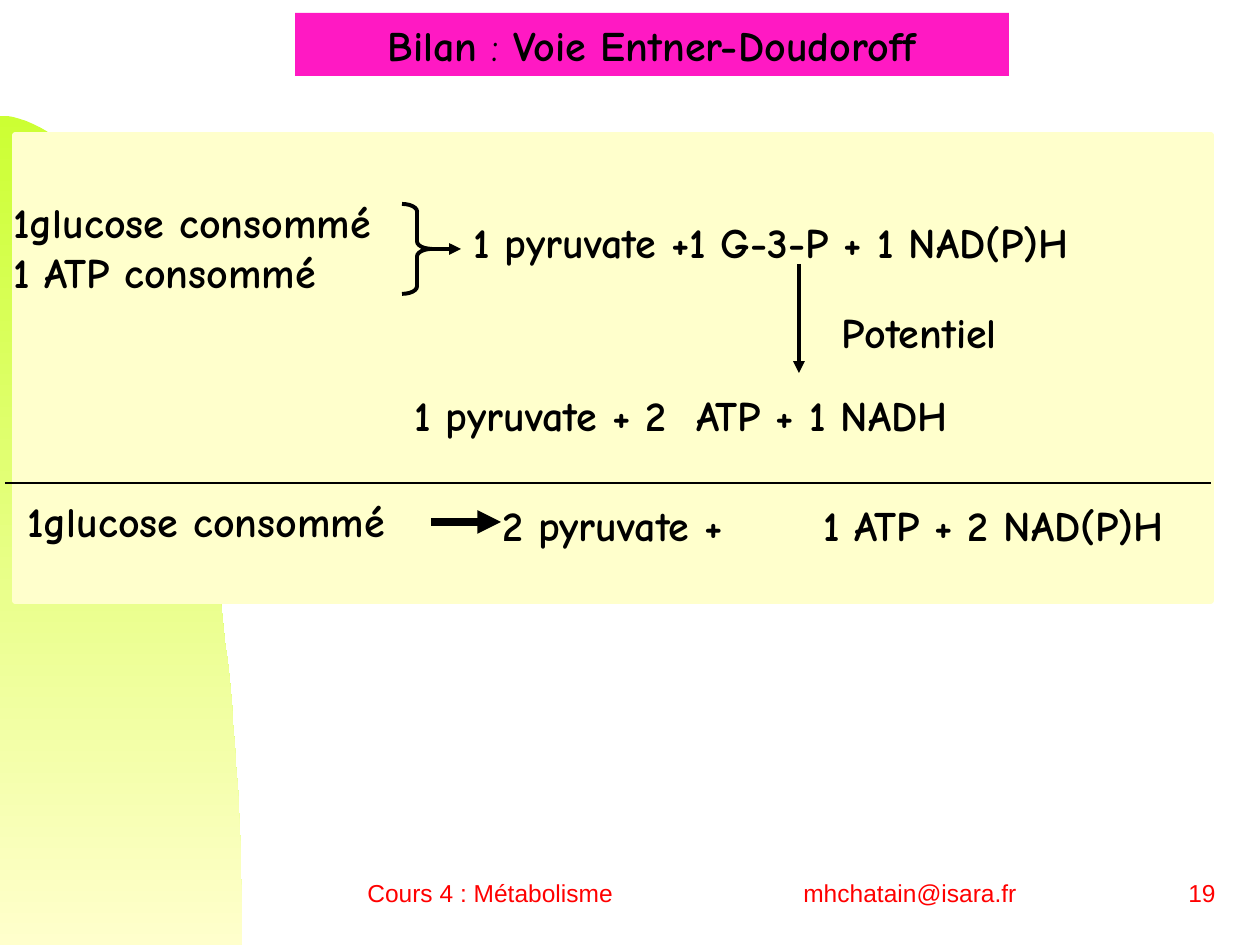
"""Build the balance slide of the Entner-Doudoroff pathway."""
from typing import NamedTuple

from lxml import etree
from pptx import Presentation
from pptx.dml.color import RGBColor
from pptx.enum.shapes import MSO_CONNECTOR, MSO_SHAPE
from pptx.enum.text import MSO_ANCHOR, MSO_AUTO_SIZE, PP_ALIGN
from pptx.oxml.ns import qn
from pptx.util import Emu, Pt

LINE = MSO_CONNECTOR.STRAIGHT
RECT, BRACE = MSO_SHAPE.RECTANGLE, MSO_SHAPE.RIGHT_BRACE
TOP, MIDDLE = MSO_ANCHOR.TOP, MSO_ANCHOR.MIDDLE
LEFT, CENTER, RIGHT = PP_ALIGN.LEFT, PP_ALIGN.CENTER, PP_ALIGN.RIGHT
FIXED = MSO_AUTO_SIZE.NONE
SCALE = 914400 / 126
BLACK, RED, PINK, CREAM, LIME = "000000", "FF0000", "FF19C3", "FFFFCC", "CCFF33"


class Label(NamedTuple):
    """A text box: place in px, words and look."""
    left: int
    top: int
    width: int
    height: int
    words: str
    font: str = "Comic Neue"
    size: int = 24
    color: str = BLACK
    bold: bool = True
    align: PP_ALIGN = LEFT
    anchor: MSO_ANCHOR = TOP
    tab: int = 0


class Rule(NamedTuple):
    """A straight line: ends in px, width in points."""
    left: int
    top: int
    right: int
    bottom: int
    width: float = 2.25
    arrow: bool = True


LABELS = [
    Label(461, 210, 774, 63, "1 pyruvate +1 G-3-P + 1 NAD(P)H"),
    Label(829, 300, 190, 63, "Potentiel"),
    Label(402, 383, 818, 63, "1 pyruvate + 2  ATP + 1 NADH"),
    Label(1, 190, 390, 113, "1glucose consommé\n1 ATP consommé"),
    Label(15, 489, 400, 63, "1glucose consommé"),
    Label(490, 493, 287, 63, "2 pyruvate +"),
    Label(811, 493, 380, 63, "1 ATP + 2 NAD(P)H"),
    Label(355, 861, 690, 63, "Cours 4 : Métabolisme\tmhchatain@isara.fr",
          "Arial", 14, RED, False, LEFT, MIDDLE, 436),
    Label(966, 861, 262, 63, "19", "Arial", 14, RED, False, RIGHT, MIDDLE),
]
RULES = [
    Rule(799, 264, 799, 373),
    Rule(5, 483, 1211, 483, 0.75, False),
    Rule(422, 249, 461, 249),
    Rule(431, 522, 501, 522, 4.5),
]


def px(*sizes: int) -> list[Emu]:
    """Turn px into EMU."""
    return [Emu(round(size * SCALE)) for size in sizes]


def paint(value: str) -> RGBColor:
    """Turn a hex string into a colour."""
    return RGBColor.from_string(value)


def write(para, words: str, *, font: str = "Comic Neue", size: int = 24,
          color: str = BLACK, bold: bool = True) -> None:
    """Add a formatted run to a paragraph."""
    run = para.add_run()
    run.text = words
    run.font.name, run.font.size, run.font.bold = font, Pt(size), bold
    run.font.color.rgb = paint(color)


def draw_title(slide) -> None:
    """Place and format the title."""
    title = slide.shapes.title
    title.left, title.top, title.width, title.height = px(295, 13, 714, 63)
    title.fill.solid()
    title.fill.fore_color.rgb = paint(PINK)
    frame = title.text_frame
    frame.auto_size, frame.vertical_anchor = FIXED, TOP
    para = frame.paragraphs[0]
    para.alignment = CENTER
    write(para, "Bilan")
    write(para, " : ", bold=False)
    write(para, "Voie Entner-Doudoroff")


def draw_curve(slide) -> None:
    """Draw the green quarter oval at the left edge."""
    knots = [(0, 116), (134, 116), (242, 488), (242, 945)]
    steps = 60
    points = []
    for step in range(steps + 1):
        t = step / steps
        parts = ((1 - t) ** 3, 3 * t * (1 - t) ** 2, 3 * t * t * (1 - t), t ** 3)
        points.append(tuple(
            sum(part * knot[axis] for part, knot in zip(parts, knots))
            for axis in (0, 1)))
    path = slide.shapes.build_freeform(*points[0], scale=SCALE)
    path.add_line_segments(points[1:] + [(0, 945)], close=True)
    curve = path.convert_to_shape()
    curve.shadow.inherit = False
    curve.line.fill.background()
    curve.fill.gradient()
    curve.fill.gradient_angle = 270
    for stop, color in zip(curve.fill.gradient_stops, (LIME, CREAM)):
        stop.color.rgb = paint(color)


def draw_panel(slide) -> None:
    """Draw the cream panel."""
    panel = slide.shapes.add_shape(RECT, *px(15, 135, 1196, 466))
    panel.shadow.inherit = False
    panel.fill.solid()
    panel.fill.fore_color.rgb = paint(CREAM)
    panel.line.color.rgb = paint(CREAM)
    panel.line.width = Pt(3)


def draw_brace(slide) -> None:
    """Draw the brace that joins the inputs."""
    brace = slide.shapes.add_shape(BRACE, *px(402, 204, 30, 90))
    brace.shadow.inherit = False
    brace.adjustments[0] = 0.25
    brace.fill.background()
    brace.line.color.rgb = paint(BLACK)
    brace.line.width = Pt(2.25)


def draw_label(slide, label: Label) -> None:
    """Draw one text box."""
    box = slide.shapes.add_textbox(*px(*label[:4]))
    frame = box.text_frame
    frame.word_wrap, frame.vertical_anchor = True, label.anchor
    for index, words in enumerate(label.words.split("\n")):
        para = frame.add_paragraph() if index else frame.paragraphs[0]
        para.alignment = label.align
        if label.tab:
            tabs = etree.SubElement(para._p.get_or_add_pPr(), qn("a:tabLst"))
            etree.SubElement(tabs, qn("a:tab"), pos=str(px(label.tab)[0]), algn="l")
        write(para, words, font=label.font, size=label.size,
              color=label.color, bold=label.bold)


def draw_rule(slide, rule: Rule) -> None:
    """Draw one line or arrow."""
    line = slide.shapes.add_connector(LINE, *px(*rule[:4]))
    line.line.color.rgb = paint(BLACK)
    line.line.width = Pt(rule.width)
    if rule.arrow:
        etree.SubElement(line.line._get_or_add_ln(), qn("a:tailEnd"), type="triangle")
    etree.SubElement(line._element.spPr, qn("a:effectLst"))


def main() -> None:
    """Build and save the slide."""
    deck = Presentation()
    deck.slide_width, deck.slide_height = px(1260, 945)
    slide = deck.slides.add_slide(deck.slide_layouts[5])
    draw_title(slide)
    draw_curve(slide)
    draw_panel(slide)
    draw_brace(slide)
    for rule in RULES:
        draw_rule(slide, rule)
    for label in LABELS:
        draw_label(slide, label)
    deck.save("out.pptx")


if __name__ == "__main__":
    main()
